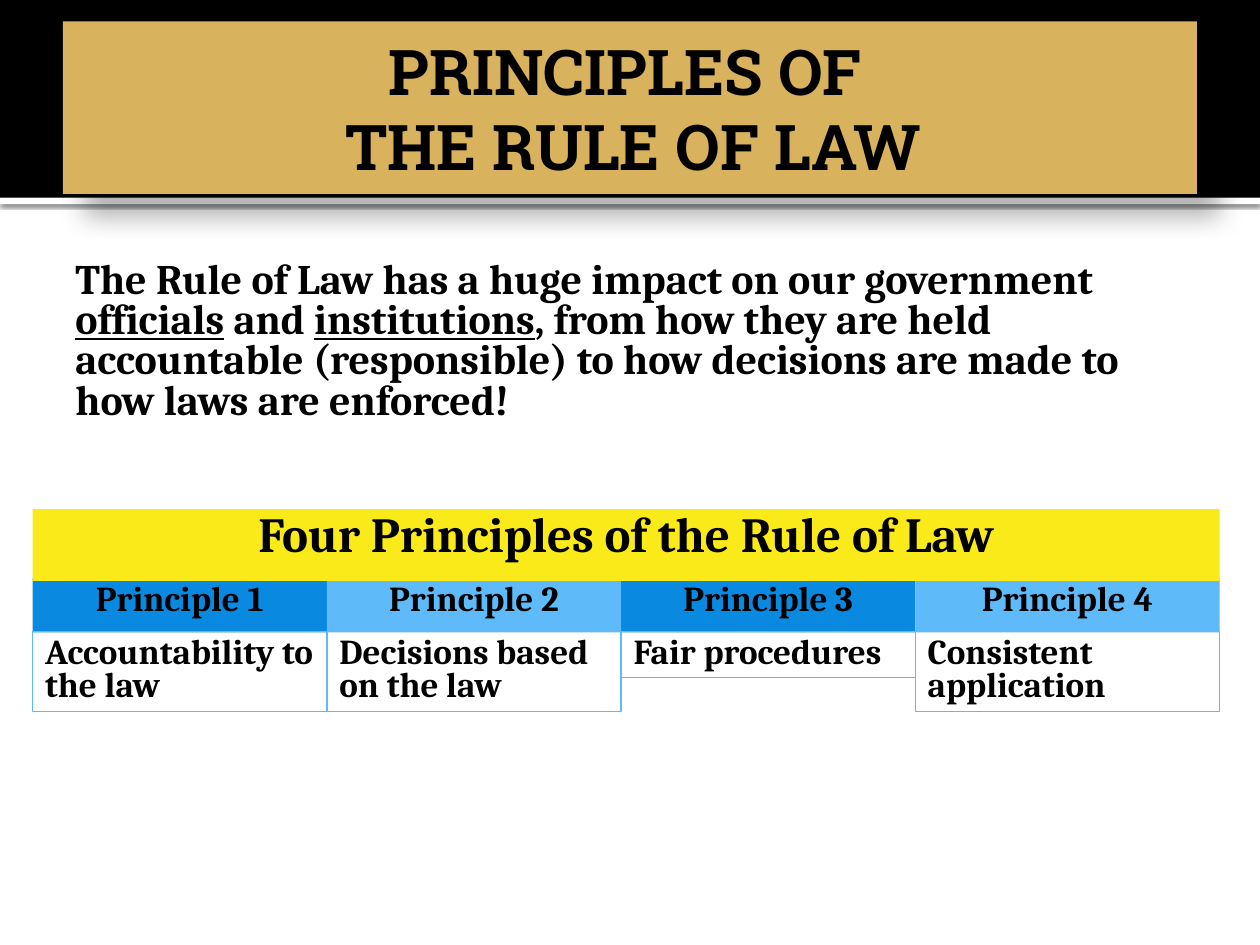
from dataclasses import dataclass
from typing import Optional

import pptx
import pptx.dml.color
import pptx.enum.shapes
import pptx.enum.text
import pptx.oxml
import pptx.oxml.ns
import pptx.util

RGBColor = pptx.dml.color.RGBColor
BLACK = RGBColor(0x00, 0x00, 0x00)
WHITE = RGBColor(0xFF, 0xFF, 0xFF)
GOLD = RGBColor(0xD8, 0xB2, 0x5C)
YELLOW = RGBColor(0xFA, 0xEA, 0x1A)
DARK_BLUE = RGBColor(0x0A, 0x89, 0xE0)
LIGHT_BLUE = RGBColor(0x5E, 0xBA, 0xF8)

SLIDE_W, SLIDE_H = 10, 7.5
GRID_LEFT, GRID_W, COL_W = 0.26, 9.42, 2.335
BANNER_TOP, HEADER_TOP, DETAIL_TOP = 4.04, 4.59, 5.01
LINE_H, PADDING = 0.27, 0.1

CENTER = pptx.enum.text.PP_ALIGN.CENTER
LEFT = pptx.enum.text.PP_ALIGN.LEFT


@dataclass
class Box:
    left: float
    top: float
    width: float
    height: float


@dataclass
class Shadow:
    alpha: int
    blur: float
    distance: float
    angle: int


@dataclass
class Principle:
    name: str
    detail: str
    lines: int


PRINCIPLES = [
    Principle("Principle 1", "Accountability to the law", 2),
    Principle("Principle 2", "Decisions based on the law", 2),
    Principle("Principle 3", "Fair procedures", 1),
    Principle("Principle 4", "Consistent application", 2),
]
INTRO = [
    ("The Rule of Law has a huge impact on our government ", False),
    ("officials", True),
    (" and ", False),
    ("institutions", True),
    (", from how they are held accountable (responsible) to how decisions "
     "are made to how laws are enforced!", False),
]


def place(box: Box) -> list:
    return [pptx.util.Inches(v) for v in (box.left, box.top, box.width, box.height)]


def add_shadow(s, shadow: Shadow) -> None:
    s._element.spPr.append(pptx.oxml.parse_xml(
        f'<a:effectLst {pptx.oxml.ns.nsdecls("a")}>'
        f'<a:outerShdw blurRad="{pptx.util.Pt(shadow.blur)}" '
        f'dist="{pptx.util.Pt(shadow.distance)}" dir="{shadow.angle * 60000}" '
        f'algn="tl" rotWithShape="0"><a:srgbClr val="{BLACK}">'
        f'<a:alpha val="{shadow.alpha * 1000}"/></a:srgbClr></a:outerShdw></a:effectLst>'))


def add_rect(slide, box: Box, fill: Optional[RGBColor] = None,
             line: Optional[RGBColor] = None, shadow: Optional[Shadow] = None):
    s = slide.shapes.add_shape(pptx.enum.shapes.MSO_SHAPE.RECTANGLE, *place(box))
    if fill is None:
        s.fill.background()
    else:
        s.fill.solid()
        s.fill.fore_color.rgb = fill
    if line is None:
        s.line.fill.background()
    else:
        s.line.color.rgb = line
        s.line.width = pptx.util.Pt(0.75)
    if shadow is None:
        s.shadow.inherit = False
    else:
        add_shadow(s, shadow)
    return s


def style_runs(p, size: int, font: str) -> None:
    for r in p.runs:
        r.font.size = pptx.util.Pt(size)
        r.font.name = font
        r.font.bold = True
        r.font.color.rgb = BLACK


def format_body(s, size: int, align) -> None:
    tf = s.text_frame
    tf.word_wrap = True
    tf.auto_size = pptx.enum.text.MSO_AUTO_SIZE.SHAPE_TO_FIT_TEXT
    tf.vertical_anchor = pptx.enum.text.MSO_ANCHOR.TOP
    p = tf.paragraphs[0]
    p.alignment = align
    p.line_spacing = 0.8
    p.space_before = pptx.util.Pt(size * 0.2)
    style_runs(p, size, "Cambria")


def add_label(slide, box: Box, text: str, size: int, align,
              fill: Optional[RGBColor] = None, line: Optional[RGBColor] = None) -> None:
    s = add_rect(slide, box, fill, line)
    s.text_frame.text = text
    format_body(s, size, align)


def add_title(slide) -> None:
    add_rect(slide, Box(0, 1.57, SLIDE_W, 0.05), WHITE, shadow=Shadow(60, 2.5, 0.8, 90))
    add_rect(slide, Box(0, 0, SLIDE_W, 1.57), BLACK)
    s = add_rect(slide, Box(0.5, 0.17, 9, 1.37), GOLD, shadow=Shadow(30, 15, 18, 45))
    tf = s.text_frame
    tf.word_wrap = True
    tf.vertical_anchor = pptx.enum.text.MSO_ANCHOR.MIDDLE
    tf.margin_right = pptx.util.Inches(0.05)
    tf.text = "PRINCIPLES OF \vTHE RULE OF LAW"
    p = tf.paragraphs[0]
    p.alignment = CENTER
    style_runs(p, 36, "Roboto Slab")


def add_intro(slide) -> None:
    s = slide.shapes.add_textbox(*place(Box(0.5, 2.03, 9.08, 1.72)))
    p = s.text_frame.paragraphs[0]
    for text, underlined in INTRO:
        r = p.add_run()
        r.text = text
        r.font.underline = underlined
    format_body(s, 24, LEFT)


def add_principles(slide) -> None:
    for col, principle in enumerate(PRINCIPLES):
        left = GRID_LEFT + col * COL_W
        is_last = col == len(PRINCIPLES) - 1
        width = GRID_LEFT + GRID_W - left if is_last else COL_W
        fill = LIGHT_BLUE if col % 2 else DARK_BLUE
        add_label(slide, Box(left, HEADER_TOP, width, 0.43), principle.name,
                  20, CENTER, fill=fill)
        add_label(slide, Box(left, DETAIL_TOP, width, PADDING + principle.lines * LINE_H),
                  principle.detail, 20, LEFT, line=LIGHT_BLUE)
    add_label(slide, Box(GRID_LEFT, BANNER_TOP, GRID_W, 0.57),
              "Four Principles of the Rule of Law", 28, CENTER, fill=YELLOW)


def main() -> None:
    prs = pptx.Presentation()
    prs.slide_width = pptx.util.Inches(SLIDE_W)
    prs.slide_height = pptx.util.Inches(SLIDE_H)
    slide = prs.slides.add_slide(prs.slide_layouts[6])
    add_title(slide)
    add_intro(slide)
    add_principles(slide)
    prs.save("out.pptx")


if __name__ == "__main__":
    main()
